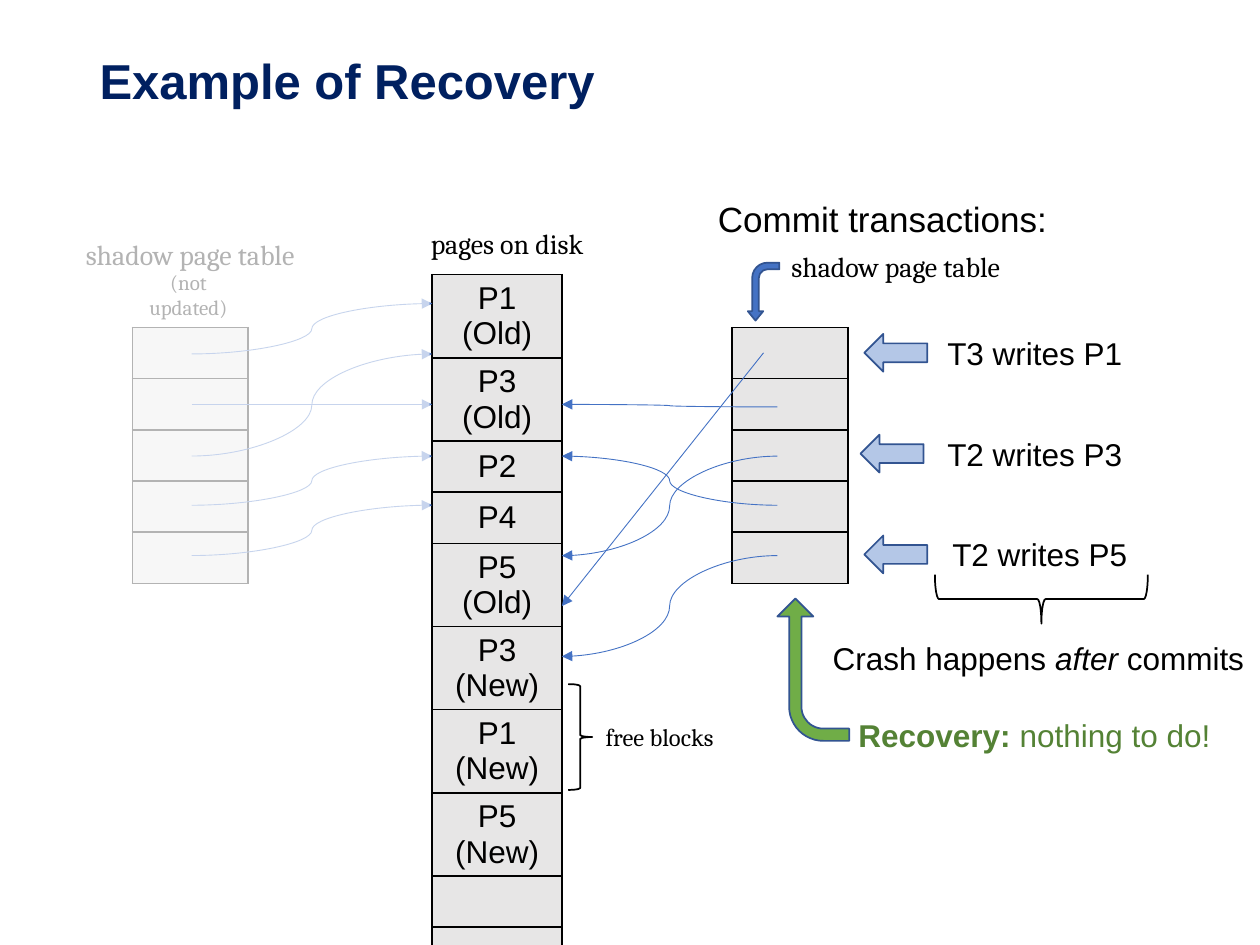
from dataclasses import dataclass

from lxml import etree
from pptx import Presentation
from pptx.dml.color import RGBColor
from pptx.enum.shapes import MSO_CONNECTOR, MSO_SHAPE
from pptx.enum.text import MSO_ANCHOR, MSO_AUTO_SIZE, PP_ALIGN
from pptx.oxml.ns import qn
from pptx.util import Inches, Pt

CURVE, STRAIGHT = MSO_CONNECTOR.CURVE, MSO_CONNECTOR.STRAIGHT
RECT, BRACE = MSO_SHAPE.RECTANGLE, MSO_SHAPE.RIGHT_BRACE
ARROW, BENT_ARROW = MSO_SHAPE.RIGHT_ARROW, MSO_SHAPE.BENT_ARROW
MIDDLE = MSO_ANCHOR.MIDDLE
LEFT, CENTER = PP_ALIGN.LEFT, PP_ALIGN.CENTER

COLORS = {
    "title": "002060", "ink": "000000", "cell": "E7E6E6", "link": "4472C4",
    "outline": "325491", "write": "B4C7E7", "recovery": "70AD47",
    "recovery_text": "548235", "veil": "FFFFFF",
}
ROW_HEIGHT = 0.406


@dataclass
class Run:
    text: str
    bold: bool = False
    italic: bool = False


@dataclass
class Label:
    box: tuple[float, float, float, float]
    runs: list[Run]
    size: int
    font: str = "Arial"
    align: PP_ALIGN = CENTER
    wrap: bool = False
    color: str = "ink"


@dataclass
class Figure:
    kind: MSO_SHAPE
    box: tuple[float, float, float, float]
    fill: str | None = None
    line: str | None = "outline"
    rotation: float = 0
    adjustments: tuple[float, ...] = ()
    flip_v: bool = False
    opacity: int = 100


@dataclass
class Link:
    start: tuple[float, float]
    end: tuple[float, float]
    kind: MSO_CONNECTOR = CURVE


@dataclass
class Write:
    text: str
    arrow_x: float
    text_x: float
    y: float


def rgb(name: str) -> RGBColor:
    return RGBColor.from_string(COLORS[name])


def style_run(r, size: int, font: str, color: str, bold=False, italic=False) -> None:
    r.font.size, r.font.name = Pt(size), font
    r.font.bold, r.font.italic = bold, italic
    r.font.color.rgb = rgb(color)


def add_label(s, label: Label) -> None:
    tf = s.shapes.add_textbox(*map(Inches, label.box)).text_frame
    tf.word_wrap = label.wrap
    tf.auto_size = MSO_AUTO_SIZE.SHAPE_TO_FIT_TEXT
    p = tf.paragraphs[0]
    p.alignment = label.align
    for run in label.runs:
        r = p.add_run()
        r.text = run.text
        style_run(r, label.size, label.font, label.color, run.bold, run.italic)


def add_figure(s, figure: Figure) -> None:
    sp = s.shapes.add_shape(figure.kind, *map(Inches, figure.box))
    sp.shadow.inherit = False
    sp.rotation = figure.rotation
    for i, value in enumerate(figure.adjustments):
        sp.adjustments[i] = value
    if figure.flip_v:
        sp.element.spPr.find(qn("a:xfrm")).set("flipV", "1")
    if figure.fill:
        sp.fill.solid()
        sp.fill.fore_color.rgb = rgb(figure.fill)
    else:
        sp.fill.background()
    if figure.opacity < 100:
        color = sp.element.spPr.find(".//" + qn("a:srgbClr"))
        etree.SubElement(color, qn("a:alpha"), val=str(figure.opacity * 1000))
    if figure.line:
        sp.line.color.rgb = rgb(figure.line)
        sp.line.width = Pt(1)
    else:
        sp.line.fill.background()


def add_link(s, link: Link) -> None:
    cxn = s.shapes.add_connector(link.kind, *map(Inches, link.start + link.end))
    cxn.line.color.rgb = rgb("link")
    cxn.line.width = Pt(0.5)
    spPr = cxn._element.spPr
    etree.SubElement(spPr.find(qn("a:ln")), qn("a:tailEnd"), type="triangle")
    etree.SubElement(spPr, qn("a:effectLst"))


def add_pages(s, left: float, top: float, width: float, pages: list[str]) -> None:
    table = s.shapes.add_table(len(pages), 1, Inches(left), Inches(top), Inches(width),
                               Inches(ROW_HEIGHT * len(pages))).table
    table.first_row = table.horz_banding = False
    for i, page in enumerate(pages):
        table.rows[i].height = Inches(ROW_HEIGHT)
        cell = table.cell(i, 0)
        tcPr = cell._tc.get_or_add_tcPr()
        for side in ("lnL", "lnR", "lnT", "lnB"):
            ln = etree.SubElement(tcPr, qn("a:" + side), w=str(Pt(1)))
            fill = etree.SubElement(ln, qn("a:solidFill"))
            etree.SubElement(fill, qn("a:srgbClr"), val=COLORS["ink"])
        cell.fill.solid()
        cell.fill.fore_color.rgb = rgb("cell")
        cell.vertical_anchor = MIDDLE
        if page:
            cell.text_frame.text = page
            p = cell.text_frame.paragraphs[0]
            p.alignment = CENTER
            style_run(p.runs[0], 18, "Arial", "ink")


def add_write(s, write: Write) -> None:
    add_label(s, Label((write.text_x, write.y, 1.6, 0.4), [Run(write.text)], 18, align=LEFT))
    add_figure(s, Figure(ARROW, (write.arrow_x, write.y + 0.05, 0.5, 0.3), "write", rotation=180))


def add_title(s, text: str) -> None:
    title = s.shapes.title
    title.left, title.top, title.width, title.height = map(Inches, (0.69, 0.4, 8.62, 0.52))
    title.text_frame.text = text
    title.text_frame.vertical_anchor = MIDDLE
    p = title.text_frame.paragraphs[0]
    p.alignment, p.line_spacing = LEFT, 0.9
    style_run(p.runs[0], 28, "Arial", "title", bold=True)


DISK_PAGES = ["P1 (Old)", "P3 (Old)", "P2", "P4", "P5 (Old)",
              "P3 (New)", "P1 (New)", "P5 (New)", "", ""]
EMPTY_PAGES = [""] * 5
DISK_LEFT, DISK_RIGHT = 3.43, 4.46

LABELS = [
    Label((4.7, 5.68, 1.07, 0.34), [Run("free blocks")], 14, "Cambria"),
    Label((3.31, 1.75, 1.43, 0.37), [Run("pages on disk")], 16, "Cambria"),
    Label((5.59, 1.52, 2.83, 0.44), [Run("Commit transactions:")], 20),
    Label((6.18, 1.93, 1.86, 0.37), [Run("shadow page table")], 16, "Cambria"),
    Label((6.51, 5.02, 3.49, 0.4),
          [Run("Crash happens "), Run("after", italic=True), Run(" commits")],
          18, align=LEFT, wrap=True),
    Label((6.7, 5.63, 3.02, 0.4), [Run("Recovery: ", bold=True), Run("nothing to do!")],
          18, color="recovery_text"),
    Label((0.94, 2.09, 1.11, 0.3), [Run("(not updated)")], 12, "Cambria", wrap=True),
    Label((0.58, 1.84, 1.86, 0.37), [Run("shadow page table")], 16, "Cambria"),
]
FIGURES = [
    Figure(BRACE, (4.51, 5.43, 0.19, 0.84), line="ink"),
    Figure(BRACE, (8.07, 3.91, 0.39, 1.69), line="ink", rotation=90),
    Figure(BENT_ARROW, (5.83, 2.19, 0.46, 0.25), "link", rotation=90,
           adjustments=(0.21, 0.245, 0.298, 0.485), flip_v=True),
    Figure(BENT_ARROW, (5.89, 5.03, 1.13, 0.57), "recovery", rotation=270,
           adjustments=(0.171, 0.25, 0.25, 0.477)),
]
VEIL = Figure(RECT, (0.67, 1.84, 2.74, 3.19), "veil", line=None, opacity=70)
WRITES = [
    Write("T3 writes P1", 6.86, 7.42, 2.6),
    Write("T2 writes P3", 6.83, 7.42, 3.4),
    Write("T2 writes P5", 6.86, 7.46, 4.2),
]
COMMITTED = [(3.23, 3.21), (3.62, 4.41), (4.01, 3.62), (4.41, 5.21)]
SHADOW = [(2.81, 2.41), (3.21, 3.21), (3.62, 2.81), (4.01, 3.62), (4.41, 4.01)]
LINKS = [Link((6.17, y), (DISK_RIGHT, page_y)) for y, page_y in COMMITTED]
LINKS += [Link((1.52, y), (DISK_LEFT, page_y)) for y, page_y in SHADOW]
LINKS.append(Link((6.06, 2.8), (DISK_RIGHT, 4.81), STRAIGHT))


def main() -> None:
    prs = Presentation()
    prs.slide_width, prs.slide_height = Inches(10), Inches(7.5)
    s = prs.slides.add_slide(prs.slide_layouts[5])
    add_title(s, "Example of Recovery")
    add_pages(s, 5.81, 2.6, 0.92, EMPTY_PAGES)
    add_pages(s, DISK_LEFT, 2.18, 1.03, DISK_PAGES)
    add_pages(s, 1.05, 2.6, 0.92, EMPTY_PAGES)
    for draw, items in ((add_link, LINKS), (add_write, WRITES),
                        (add_label, LABELS), (add_figure, FIGURES)):
        for item in items:
            draw(s, item)
    add_figure(s, VEIL)
    prs.save("out.pptx")


if __name__ == "__main__":
    main()
